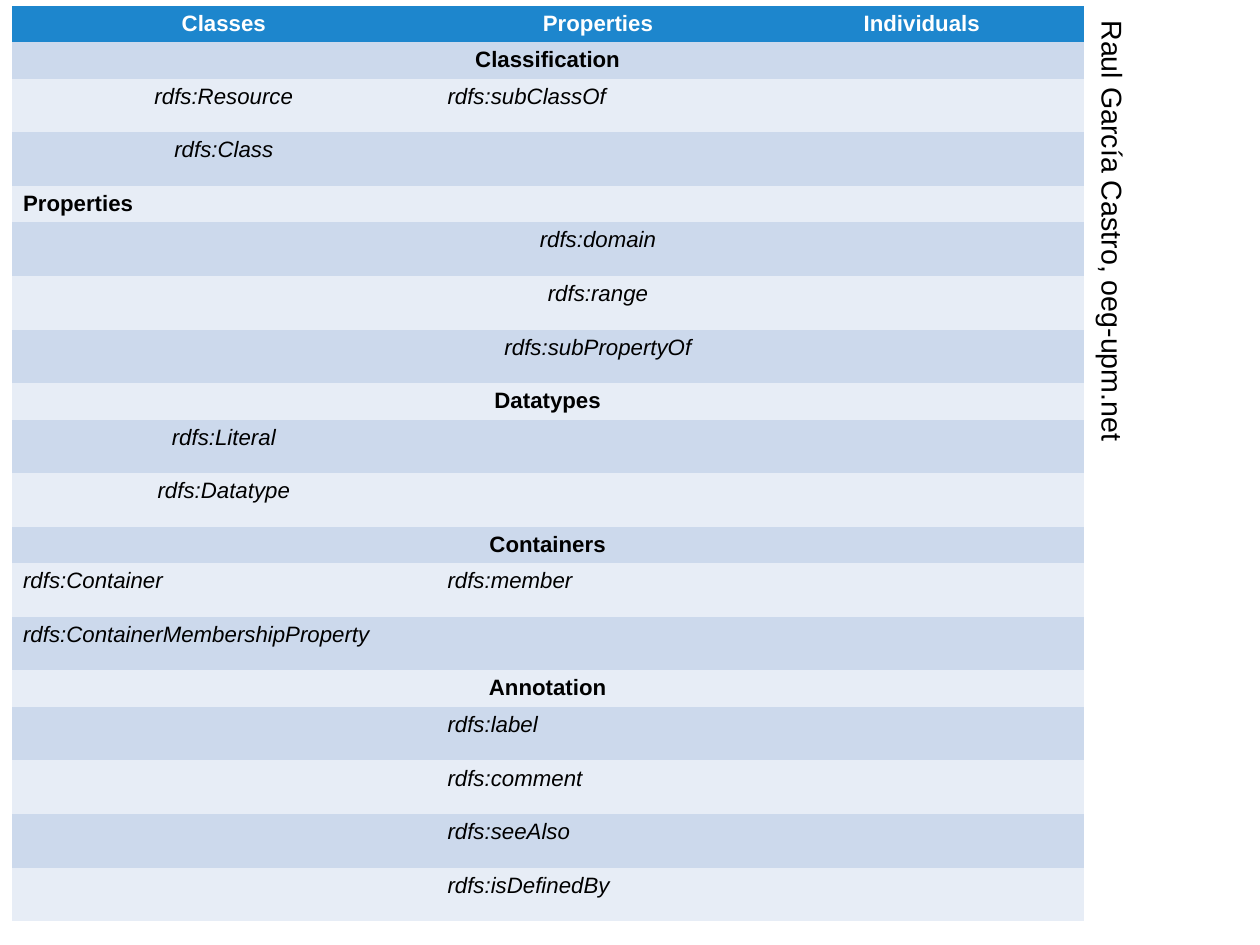
from pptx import Presentation
from pptx.dml.color import RGBColor
from pptx.enum.text import MSO_AUTO_SIZE, PP_ALIGN
from pptx.oxml.ns import qn
from pptx.util import Pt

COLORS = {
    "header": "1D86CD",
    "dark_band": "CCD9EC",
    "light_band": "E7EDF6",
    "white": "FFFFFF",
    "black": "000000",
}
LEFT, CENTER = PP_ALIGN.LEFT, PP_ALIGN.CENTER
NO_GRID_STYLE = "{2D5ABB26-0587-4C30-8999-92F81FD0307C}"
HEADINGS = ["Classes", "Properties", "Individuals"]
# Section title, its alignment, alignment of its terms, (class, property) rows
SECTIONS = [
    ("Classification", CENTER, CENTER,
     [("rdfs:Resource", "rdfs:subClassOf"), ("rdfs:Class", "")]),
    ("Properties", LEFT, CENTER,
     [("", "rdfs:domain"), ("", "rdfs:range"), ("", "rdfs:subPropertyOf")]),
    ("Datatypes", CENTER, CENTER,
     [("rdfs:Literal", ""), ("rdfs:Datatype", "")]),
    ("Containers", CENTER, LEFT,
     [("rdfs:Container", "rdfs:member"), ("rdfs:ContainerMembershipProperty", "")]),
    ("Annotation", CENTER, LEFT,
     [("", "rdfs:label"), ("", "rdfs:comment"), ("", "rdfs:seeAlso"), ("", "rdfs:isDefinedBy")]),
]
COLUMN_WIDTHS = [267.4, 204, 204]
TITLE_HEIGHT, TERM_HEIGHT = 23.04, 33.75


def add_run(p, text, size, color="black", bold=False, italic=False):
    r = p.add_run()
    r.text = text
    r.font.name = "Arial"
    r.font.size = Pt(size)
    r.font.bold = bold
    r.font.italic = italic
    r.font.color.rgb = RGBColor.from_string(COLORS[color])


def fill_cell(cell, text, band, align, **style):
    cell.fill.solid()
    cell.fill.fore_color.rgb = RGBColor.from_string(COLORS[band])
    cell.margin_top = cell.margin_bottom = Pt(3.4)
    if text:
        p = cell.text_frame.paragraphs[0]
        p.alignment = align
        add_run(p, text, 14, **style)


prs = Presentation()
prs.slide_width, prs.slide_height = Pt(793.7), Pt(595.28)
s = prs.slides.add_slide(prs.slide_layouts[6])

# Vocabulary table
row_heights = [TITLE_HEIGHT]
for title, title_align, term_align, terms in SECTIONS:
    row_heights += [TITLE_HEIGHT] + [TERM_HEIGHT] * len(terms)
frame = s.shapes.add_table(
    len(row_heights), len(COLUMN_WIDTHS), Pt(7.3), Pt(3.6),
    Pt(sum(COLUMN_WIDTHS)), Pt(sum(row_heights)))
for style_id in frame.element.iter(qn("a:tableStyleId")):
    style_id.text = NO_GRID_STYLE
table = frame.table
for column, width in zip(table.columns, COLUMN_WIDTHS):
    column.width = Pt(width)
for row, height in zip(table.rows, row_heights):
    row.height = Pt(height)

for col, heading in enumerate(HEADINGS):
    fill_cell(table.cell(0, col), heading, "header", CENTER, color="white", bold=True)

row = 1
for title, title_align, term_align, terms in SECTIONS:
    for i, texts in enumerate([(title, "")] + terms):
        band = "dark_band" if row % 2 else "light_band"
        is_title = i == 0
        for col, text in enumerate([*texts, ""]):
            align = title_align if is_title else term_align
            if text == "rdfs:subClassOf":
                align = LEFT
            fill_cell(table.cell(row, col), text, band, align,
                      bold=is_title, italic=not is_title)
        if is_title:
            table.cell(row, 0).merge(table.cell(row, 2))
        row += 1

# Author credit, reading downwards
credit = s.shapes.add_textbox(Pt(562), Pt(131.8), Pt(279.4), Pt(27.4))
credit.rotation = 90
tf = credit.text_frame
tf.word_wrap = False
tf.auto_size = MSO_AUTO_SIZE.SHAPE_TO_FIT_TEXT
add_run(tf.paragraphs[0], "Raul García Castro, oeg-upm.net", 18)

prs.save("out.pptx")
